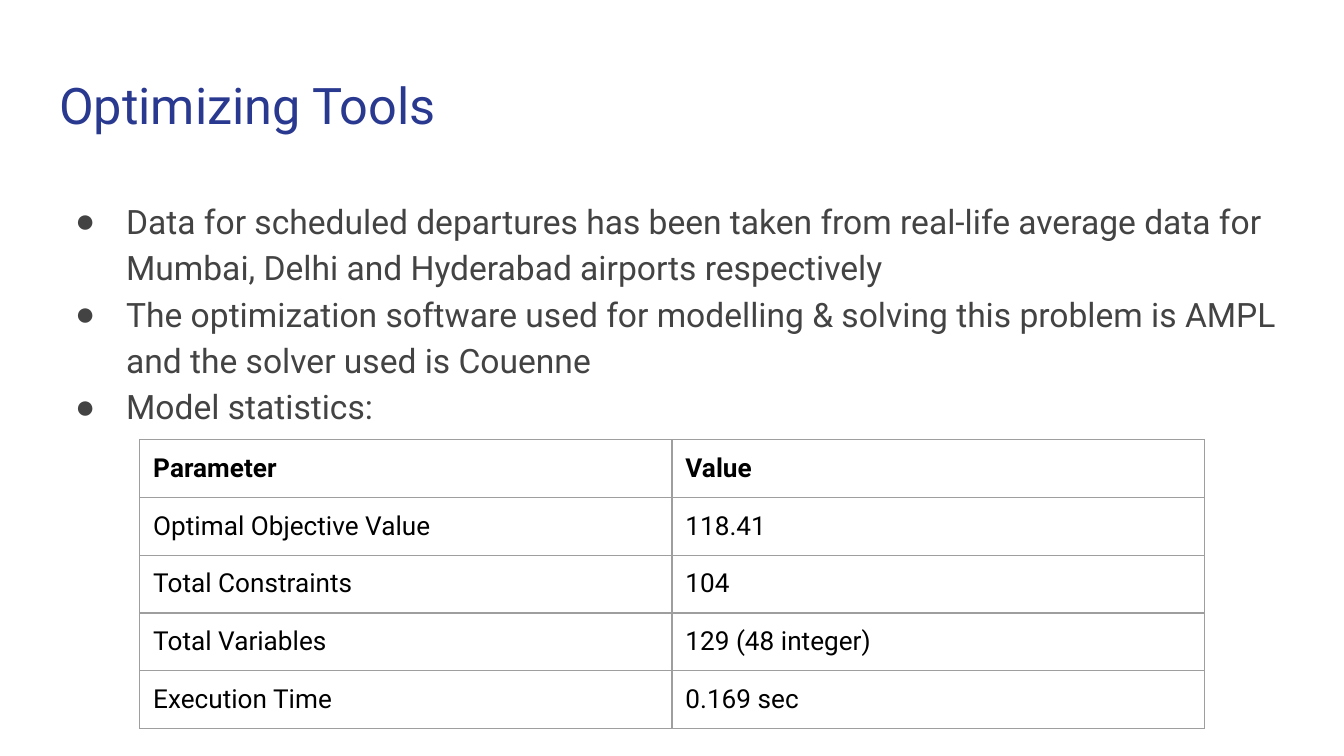
from lxml.etree import SubElement
from pptx import Presentation
from pptx.dml.color import RGBColor
from pptx.enum.text import MSO_ANCHOR, MSO_AUTO_SIZE, PP_ALIGN
from pptx.oxml.ns import qn
from pptx.util import Inches, Pt

FONT = "Roboto"
BULLET_FONT = "Arial"
NAVY = RGBColor(0x2A, 0x39, 0x90)
GRAY = RGBColor(0x43, 0x43, 0x43)
BLACK = RGBColor(0, 0, 0)
BORDER = RGBColor(0x9E, 0x9E, 0x9E)
SLIDE_WIDTH = Inches(10)
SLIDE_HEIGHT = SLIDE_WIDTH * 9 // 16
INSET = Inches(0.1)
LEFT, WIDTH = Inches(0.34), Inches(9.32)
ROW_HEIGHT = Inches(0.43)

POINTS = [
    "Data for scheduled departures has been taken from real-life average data for "
    "Mumbai, Delhi and Hyderabad airports respectively",
    "The optimization software used for modelling & solving this problem is AMPL "
    "and the solver used is Couenne",
    "Model statistics:",
]
STATISTICS = [
    ("Parameter", "Value"),
    ("Optimal Objective Value", "118.41"),
    ("Total Constraints", "104"),
    ("Total Variables", "129 (48 integer)"),
    ("Execution Time", "0.169 sec"),
]


def add_run(paragraph, text, size, color, bold=False):
    run = paragraph.add_run()
    run.text = text
    font = run.font
    font.name, font.size, font.bold = FONT, Pt(size), bold
    font.color.rgb = color


def set_insets(box):
    """Give a text frame or a table cell the same margin on every side."""
    box.margin_left = box.margin_right = INSET
    box.margin_top = box.margin_bottom = INSET


def prepare_frame(frame):
    set_insets(frame)
    frame.word_wrap = True
    frame.auto_size = MSO_AUTO_SIZE.NONE
    frame.vertical_anchor = MSO_ANCHOR.TOP


def add_bullet(paragraph, color):
    properties = paragraph._p.get_or_add_pPr()
    properties.set("marL", str(Inches(0.5)))
    properties.set("indent", str(Inches(-0.38)))
    bullet_color = SubElement(properties, qn("a:buClr"))
    SubElement(bullet_color, qn("a:srgbClr"), val=str(color))
    SubElement(properties, qn("a:buFont"), typeface=BULLET_FONT)
    SubElement(properties, qn("a:buChar"), char="●")


def set_borders(cell):
    properties = cell._tc.get_or_add_tcPr()
    for side in ("lnL", "lnR", "lnT", "lnB"):
        line = SubElement(properties, qn(f"a:{side}"), w=str(Pt(0.75)))
        fill = SubElement(line, qn("a:solidFill"))
        SubElement(fill, qn("a:srgbClr"), val=str(BORDER))


def add_title(slide, text):
    title = slide.shapes.title
    title.left, title.top = LEFT, Inches(0.45)
    title.width, title.height = WIDTH, Inches(0.66)
    prepare_frame(title.text_frame)
    paragraph = title.text_frame.paragraphs[0]
    paragraph.alignment = PP_ALIGN.LEFT
    paragraph.line_spacing = 1.0
    add_run(paragraph, text, 27, NAVY)


def add_points(slide, points):
    body = slide.shapes.add_textbox(LEFT, Inches(1.35), WIDTH, Inches(3.86))
    frame = body.text_frame
    prepare_frame(frame)
    for index, point in enumerate(points):
        paragraph = frame.add_paragraph() if index else frame.paragraphs[0]
        paragraph.line_spacing = 1.15
        add_bullet(paragraph, GRAY)
        add_run(paragraph, point, 18, GRAY)


def add_statistics(slide, rows):
    table = slide.shapes.add_table(
        len(rows), len(rows[0]), Inches(1.04), Inches(3.27),
        Inches(7.92), ROW_HEIGHT * len(rows)).table
    table.first_row = table.horz_banding = False
    for row_index, row in enumerate(rows):
        for column_index, text in enumerate(row):
            cell = table.cell(row_index, column_index)
            set_insets(cell)
            set_borders(cell)
            cell.fill.background()
            add_run(cell.text_frame.paragraphs[0], text, 14, BLACK,
                    bold=row_index == 0)


def main():
    deck = Presentation()
    deck.slide_width, deck.slide_height = SLIDE_WIDTH, SLIDE_HEIGHT
    slide = deck.slides.add_slide(deck.slide_layouts[5])
    add_title(slide, "Optimizing Tools")
    add_points(slide, POINTS)
    add_statistics(slide, STATISTICS)
    deck.save("out.pptx")


if __name__ == "__main__":
    main()
